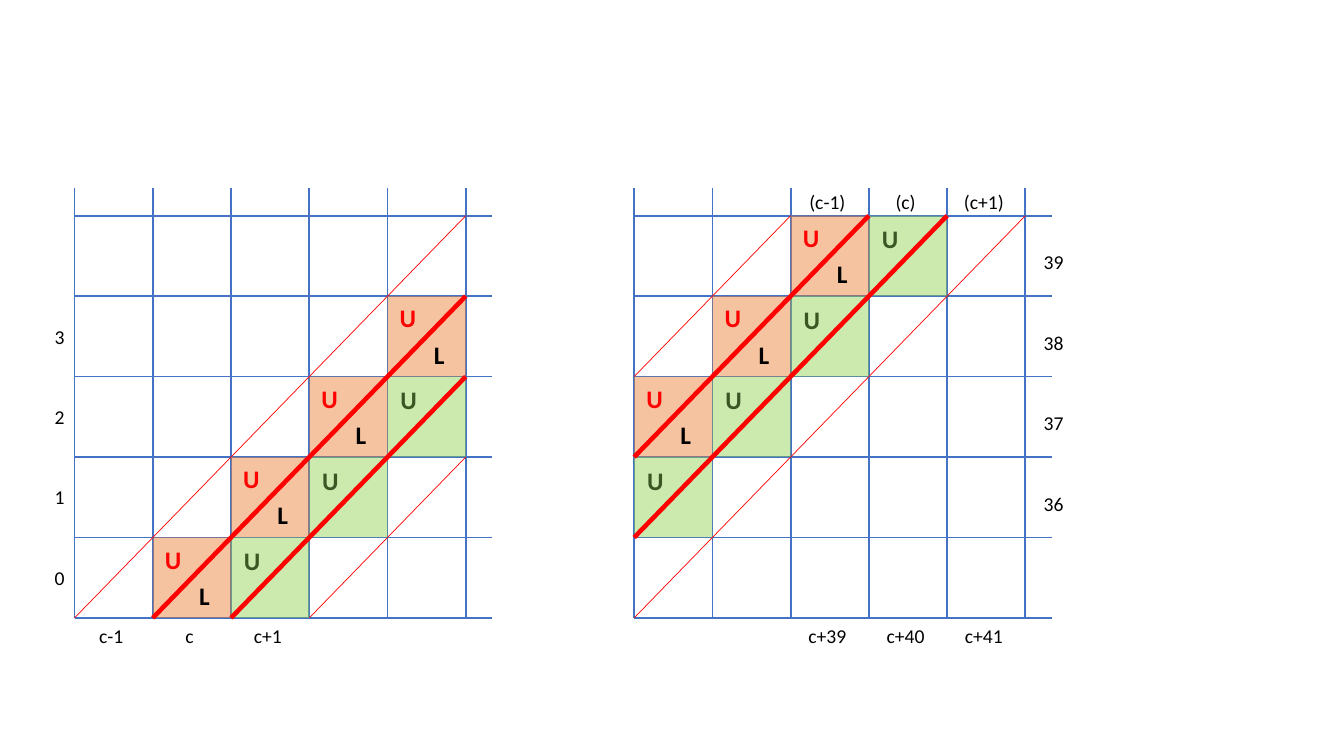
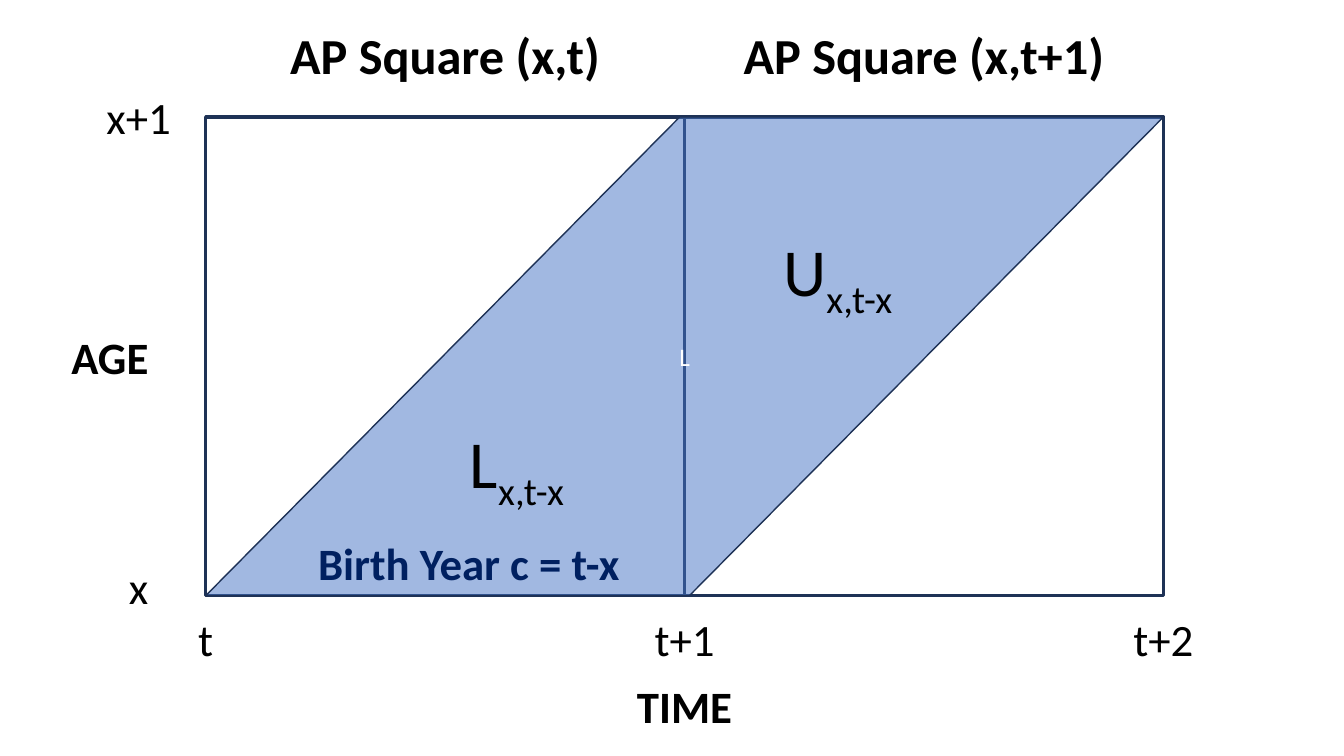
from dataclasses import dataclass
from lxml.etree import SubElement
from pptx import Presentation
from pptx.dml.color import RGBColor
from pptx.enum.shapes import MSO_CONNECTOR, MSO_SHAPE
from pptx.enum.text import MSO_ANCHOR, MSO_AUTO_SIZE, PP_ALIGN
from pptx.oxml.ns import qn
from pptx.util import Inches, Pt


@dataclass(frozen=True)
class Theme:
    """Colours, font and type sizes shared by the slides."""
    font: str = "Calibri"
    black: str = "000000"
    white: str = "FFFFFF"
    blue: str = "4472C4"
    navy: str = "1E3256"
    deep_blue: str = "002060"
    red: str = "FF0000"
    orange: str = "ED7D31"
    green: str = "92D050"
    dark_green: str = "385723"
    small: int = 14
    body: int = 18
    axis: int = 32
    heading: int = 36
    symbol: int = 48


@dataclass(frozen=True)
class Panel:
    """One Lexis grid: cells as (column, row) and lines as start and end nodes."""
    left: float
    diagonals: tuple
    cohorts: tuple
    orange: tuple
    green: tuple
    bottom_labels: dict
    top_labels: dict
    row_labels: dict
    row_label_x: float
    row_label_dy: float


T = Theme()
CELLS = 5
GRID_BOTTOM, GRID_TOP = 6.13, 1.87
GRID_W, GRID_H, GRID_REACH = 3.88, 3.99, 4.14
CELL_W, CELL_H = GRID_W / CELLS, GRID_H / CELLS

PANELS = (
    Panel(
        left=0.74,
        diagonals=((0, 0, 5, 5), (1, 0, 5, 4), (2, 0, 5, 3), (3, 0, 5, 2)),
        cohorts=((1, 0, 5, 4), (2, 0, 5, 3)),
        orange=tuple((i + 1, i) for i in range(4)),
        green=tuple((i + 2, i) for i in range(3)),
        bottom_labels={0: "c-1", 1: "c", 2: "c+1"},
        top_labels={},
        row_labels={i: str(i) for i in range(4)},
        row_label_x=-0.15,
        row_label_dy=0,
    ),
    Panel(
        left=6.29,
        diagonals=((0, 0, 5, 5), (0, 1, 4, 5), (0, 2, 3, 5), (0, 3, 2, 5)),
        cohorts=((0, 2, 3, 5), (0, 1, 4, 5)),
        orange=tuple((i, i + 2) for i in range(3)),
        green=tuple((i, i + 1) for i in range(4)),
        bottom_labels={2: "c+39", 3: "c+40", 4: "c+41"},
        top_labels={2: "(c-1)", 3: "(c)", 4: "(c+1)"},
        row_labels={i: str(35 + i) for i in range(1, 5)},
        row_label_x=4.16,
        row_label_dy=0.06,
    ),
)


def rgb(color):
    """Turn a hex string into a colour."""
    return RGBColor.from_string(color)


def add_run(p, text, size, color=T.black, bold=False, baseline=0):
    """Append one formatted run to a paragraph."""
    r = p.add_run()
    r.text = text
    r.font.name = T.font
    r.font.size = Pt(size)
    r.font.bold = bold
    r.font.color.rgb = rgb(color)
    if baseline:
        r.font._element.set("baseline", str(baseline * 1000))


def add_label(s, cx, cy, text, size, color=T.black, bold=False, sub="", w=1.0):
    """Place a one-line text box centred on a point."""
    h = size / 60 + 0.1
    sp = s.shapes.add_textbox(Inches(cx - w / 2), Inches(cy - h / 2), Inches(w), Inches(h))
    tf = sp.text_frame
    tf.word_wrap = False
    tf.auto_size = MSO_AUTO_SIZE.SHAPE_TO_FIT_TEXT
    p = tf.paragraphs[0]
    p.alignment = PP_ALIGN.CENTER
    add_run(p, text, size, color, bold)
    if sub:
        add_run(p, sub, size, color, bold, -25)


def add_line(s, x1, y1, x2, y2, color, width):
    """Draw a straight line without a shadow."""
    ln = s.shapes.add_connector(
        MSO_CONNECTOR.STRAIGHT, Inches(x1), Inches(y1), Inches(x2), Inches(y2))
    ln.line.color.rgb = rgb(color)
    ln.line.width = Pt(width)
    SubElement(ln._element.spPr, qn("a:effectLst"))


def add_box(s, kind, x, y, w, h, fill=None, opacity=100, line=None, width=1):
    """Draw a preset shape with optional translucent fill and outline."""
    sp = s.shapes.add_shape(kind, Inches(x), Inches(y), Inches(w), Inches(h))
    sp.shadow.inherit = False
    if fill:
        sp.fill.solid()
        sp.fill.fore_color.rgb = rgb(fill)
        clr = sp._element.spPr.find(qn("a:solidFill")).find(qn("a:srgbClr"))
        SubElement(clr, qn("a:alpha")).set("val", str(opacity * 1000))
    else:
        sp.fill.background()
    if line:
        sp.line.color.rgb = rgb(line)
        sp.line.width = Pt(width)
    else:
        sp.line.fill.background()
    return sp


def draw_panel(s, panel):
    """Draw one grid with its labels, shaded cells and cohort lines."""
    def at(col, row):
        return panel.left + col * CELL_W, GRID_BOTTOM - row * CELL_H

    for i in range(CELLS + 1):
        x, y = at(i, i)
        add_line(s, x, GRID_TOP, x, GRID_BOTTOM, T.blue, 1.25)
        add_line(s, panel.left + GRID_REACH, y, panel.left, y, T.blue, 1.25)
    for c1, r1, c2, r2 in panel.diagonals:
        add_line(s, *at(c1, r1), *at(c2, r2), T.red, 0.5)

    for labels, y in ((panel.bottom_labels, 6.31), (panel.top_labels, 2.0)):
        for col, text in labels.items():
            add_label(s, at(col + 0.47, 0)[0], y, text, T.small)
    for row, text in panel.row_labels.items():
        add_label(s, panel.left + panel.row_label_x,
                  at(0, row + 0.5)[1] + panel.row_label_dy, text, T.small, w=0.4)

    for cells, fill in ((panel.orange, T.orange), (panel.green, T.green)):
        for col, row in cells:
            add_box(s, MSO_SHAPE.RECTANGLE, *at(col, row + 1), CELL_W, CELL_H, fill, 46)
    for cells, text, color, dx, dy in (
        (panel.orange, "L", T.black, 0.66, 0.28),
        (panel.orange, "U", T.red, 0.26, 0.73),
        (panel.green, "U", T.dark_green, 0.27, 0.71),
    ):
        for col, row in cells:
            add_label(s, *at(col + dx, row + dy), text, T.body, color, True, w=0.37)

    for c1, r1, c2, r2 in panel.cohorts:
        add_line(s, *at(c1, r1), *at(c2, r2), T.red, 3.25)


def draw_cohort(s, left, top, side):
    """Draw two age-period squares and the birth cohort that crosses them."""
    def at(col, row):
        return left + col * side, top + row * side

    for col in range(2):
        add_box(s, MSO_SHAPE.RECTANGLE, *at(col, 0), side, side, line=T.navy, width=2.5)
    for col, text in enumerate(("t", "t+1", "t+2")):
        add_label(s, *at(col, 1.09), text, T.axis)
    add_label(s, *at(-0.14, 0), "x+1", T.axis)
    add_label(s, *at(-0.14, 0.98), "x", T.axis)
    add_label(s, *at(-0.2, 0.5), "AGE", T.axis, bold=True)
    add_label(s, *at(1, 1.23), "TIME", T.axis, bold=True, w=1.2)
    for col, text in enumerate(("AP Square (x,t)", "AP Square (x,t+1)")):
        add_label(s, *at(col + 0.5, -0.13), text, T.heading, bold=True, w=3.8)

    band = add_box(s, MSO_SHAPE.PARALLELOGRAM, *at(0, 0), 2 * side, side,
                   T.blue, 50, T.navy)
    band.adjustments[0] = 0.99
    tf = band.text_frame
    tf.vertical_anchor = MSO_ANCHOR.MIDDLE
    p = tf.paragraphs[0]
    p.alignment = PP_ALIGN.CENTER
    add_run(p, "L", T.body, T.white)

    add_label(s, *at(0.65, 0.72), "L", T.symbol, sub="x,t-x", w=1.3)
    add_label(s, *at(1.32, 0.32), "U", T.symbol, sub="x,t-x", w=1.4)
    add_label(s, *at(0.55, 0.93), "Birth Year c = t-x", T.axis, T.deep_blue, True, w=3.2)


def main():
    """Build the two slides and save them."""
    prs = Presentation()
    prs.slide_width, prs.slide_height = Inches(13.33), Inches(7.5)
    blank = prs.slide_layouts[6]
    s = prs.slides.add_slide(blank)
    for panel in PANELS:
        draw_panel(s, panel)
    draw_cohort(prs.slides.add_slide(blank), 2.04, 1.16, 4.75)
    prs.save("out.pptx")


if __name__ == "__main__":
    main()
